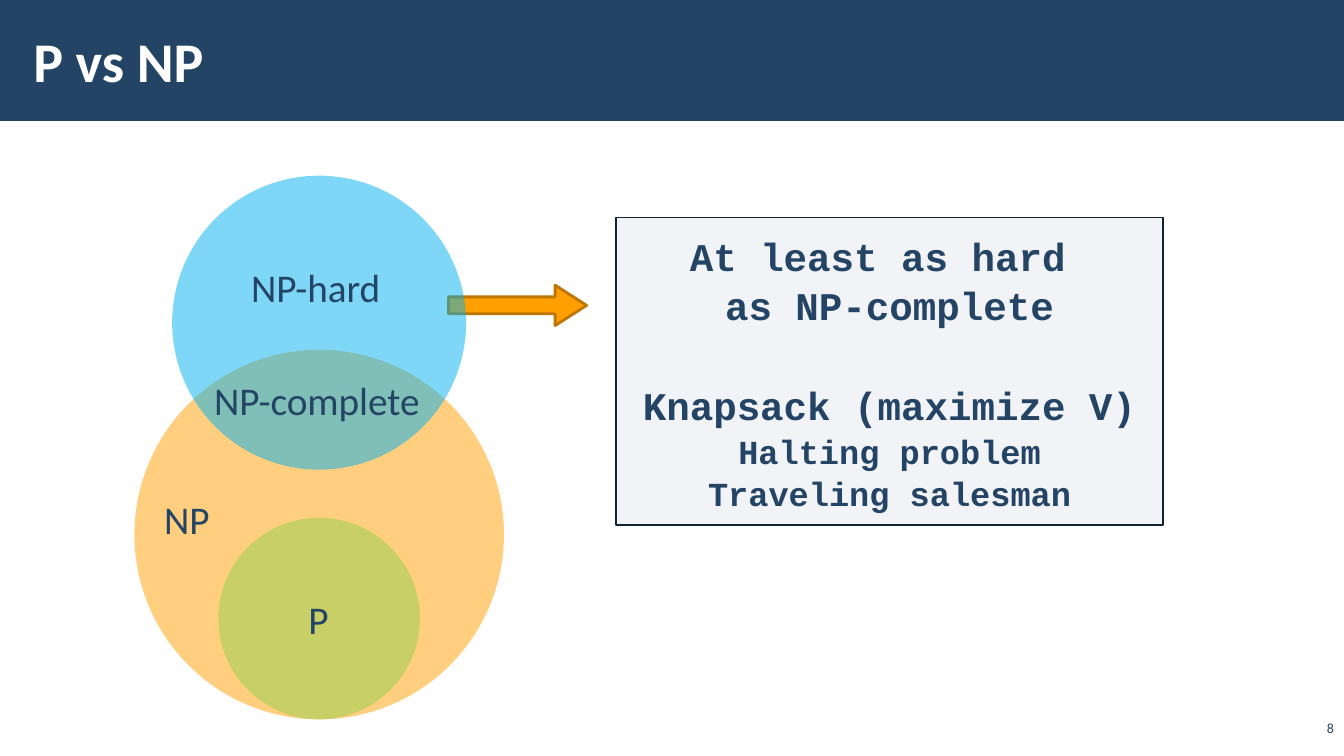
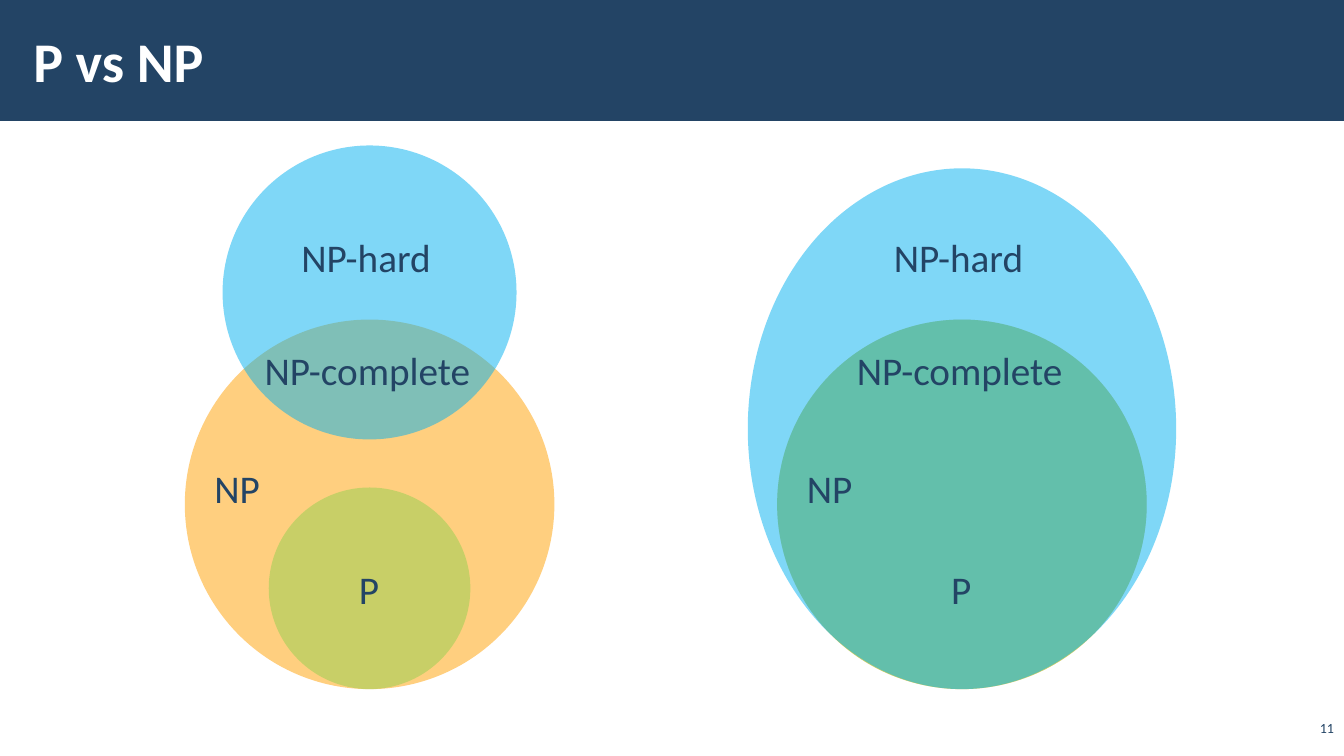
from dataclasses import dataclass

from lxml import etree
from pptx import Presentation
from pptx.dml.color import RGBColor
from pptx.enum.shapes import MSO_SHAPE
from pptx.enum.text import MSO_ANCHOR, MSO_AUTO_SIZE, PP_ALIGN
from pptx.oxml.ns import qn
from pptx.shapes.autoshape import Shape
from pptx.slide import Slide, SlideLayout
from pptx.text.text import Font, TextFrame
from pptx.util import Emu, Inches, Pt

OVAL, RECTANGLE, RIGHT_ARROW = MSO_SHAPE.OVAL, MSO_SHAPE.RECTANGLE, MSO_SHAPE.RIGHT_ARROW
LEFT, CENTER, RIGHT = PP_ALIGN.LEFT, PP_ALIGN.CENTER, PP_ALIGN.RIGHT
TOP, MIDDLE, BOTTOM = MSO_ANCHOR.TOP, MSO_ANCHOR.MIDDLE, MSO_ANCHOR.BOTTOM
FIT_SHAPE = MSO_AUTO_SIZE.SHAPE_TO_FIT_TEXT

CELL = Emu(304800)
COLUMNS, ROWS = 40, 22.5
TITLE_ONLY = 5


@dataclass(frozen=True)
class Theme:
    navy: str = "234465"
    white: str = "FFFFFF"
    orange: str = "FFA000"
    dark_orange: str = "BD7600"
    green: str = "92D050"
    blue: str = "00B0F0"
    grey: str = "ADB4C3"
    ink: str = "112233"
    body_font: str = "Calibri"
    code_font: str = "Courier New"
    title_size: int = 40
    label_size: int = 28
    example_size: int = 24
    number_size: int = 10


THEME = Theme()


@dataclass(frozen=True)
class Area:
    column: float
    row: float
    columns: float
    rows: float

    def emu(self) -> tuple[Emu, Emu, Emu, Emu]:
        lengths = (self.column, self.row, self.columns, self.rows)
        left, top, width, height = (Emu(round(CELL * length)) for length in lengths)
        return left, top, width, height


@dataclass(frozen=True)
class ProblemSet:
    color: str
    columns: float
    rows: float
    rise: float = 0


@dataclass(frozen=True)
class SetLabel:
    text: str
    columns: float
    rise: float
    shift: float = 0


@dataclass(frozen=True)
class Venn:
    center: float
    bottom: float
    sets: tuple[ProblemSet, ...]


@dataclass(frozen=True)
class Statement:
    text: str
    size: int
    gap: int = 0


BAND = Area(0, 0, COLUMNS, 3.6)
TITLE = Area(0.63, 0.33, 31.9, 2.9)
NUMBER = Area(38.58, 21.4, 1.42, 0.66)
ARROW = Area(13.35, 8.49, 4.11, 1.2)
DEFINITION = Area(18.33, 6.48, 16.29, 9.15)
LABEL_ROWS = 1.71

NP = ProblemSet(THEME.orange, 11, 11)
DISTINCT = (
    NP,
    ProblemSet(THEME.green, 6, 6),
    ProblemSet(THEME.blue, 8.75, 8.75, rise=7.43),
)
EQUAL = (
    NP,
    ProblemSet(THEME.green, 11, 11),
    ProblemSet(THEME.blue, 12.75, 15.5),
)
SET_LABELS = (
    SetLabel("P", 1.23, 3.83),
    SetLabel("NP", 1.98, 6.83, shift=-3.92),
    SetLabel("NP-complete", 6.84, 10.35),
    SetLabel("NP-hard", 4.65, 13.71),
)
STATEMENTS = (
    Statement("At least as hard \vas NP-complete", THEME.label_size),
    Statement("Knapsack (maximize V)", THEME.label_size, gap=36),
    Statement("Halting problem", THEME.example_size),
    Statement("Traveling salesman", THEME.example_size),
)


def style_font(font: Font, size: int, color: str = THEME.navy,
               name: str = THEME.body_font, bold: bool = False) -> None:
    font.name, font.size, font.bold = name, Pt(size), bold
    font.color.rgb = RGBColor.from_string(color)


def set_insets(frame: TextFrame, horizontal: float, vertical: float) -> None:
    frame.margin_left = frame.margin_right = Inches(horizontal)
    frame.margin_top = frame.margin_bottom = Inches(vertical)


def add_figure(slide: Slide, preset: MSO_SHAPE, area: Area, color: str,
               opacity: int = 100) -> Shape:
    figure = slide.shapes.add_shape(preset, *area.emu())
    figure.shadow.inherit = False
    figure.fill.solid()
    figure.fill.fore_color.rgb = RGBColor.from_string(color)
    if opacity < 100:
        fill_color = next(figure.element.spPr.iter(qn("a:srgbClr")))
        etree.SubElement(fill_color, qn("a:alpha"), val=str(opacity * 1000))
    figure.line.fill.background()
    return figure


def outline(figure: Shape, color: str, width: float) -> None:
    figure.line.color.rgb = RGBColor.from_string(color)
    figure.line.width = Pt(width)


def add_text(slide: Slide, text: str, area: Area, size: int,
             align: PP_ALIGN = LEFT, anchor: MSO_ANCHOR = TOP) -> TextFrame:
    frame = slide.shapes.add_textbox(*area.emu()).text_frame
    frame.text = text
    frame.vertical_anchor = anchor
    frame.paragraphs[0].alignment = align
    style_font(frame.paragraphs[0].font, size)
    return frame


def add_titled_slide(deck: Presentation, layout: SlideLayout, number: int) -> Slide:
    slide = deck.slides.add_slide(layout)
    title = slide.shapes.title
    title.left, title.top, title.width, title.height = TITLE.emu()
    frame = title.text_frame
    frame.text = "P vs NP"
    frame.vertical_anchor = MIDDLE
    set_insets(frame, 0.12, 0.04)
    frame.paragraphs[0].alignment = LEFT
    style_font(frame.paragraphs[0].font, THEME.title_size, THEME.white, bold=True)
    add_text(slide, str(number), NUMBER, THEME.number_size, RIGHT, BOTTOM)
    return slide


def move_band_to_layout(slide: Slide, layout: SlideLayout) -> None:
    band = add_figure(slide, RECTANGLE, BAND, THEME.navy)
    layout.shapes.element.insert(2, band.element)


def draw_venn(slide: Slide, venn: Venn) -> None:
    for problems in venn.sets:
        area = Area(venn.center - problems.columns / 2,
                    venn.bottom - problems.rise - problems.rows,
                    problems.columns, problems.rows)
        add_figure(slide, OVAL, area, problems.color, opacity=50)
    for label in SET_LABELS:
        area = Area(venn.center + label.shift - label.columns / 2,
                    venn.bottom - label.rise, label.columns, LABEL_ROWS)
        frame = add_text(slide, label.text, area, THEME.label_size)
        frame.word_wrap = False
        frame.auto_size = FIT_SHAPE


def draw_definition(slide: Slide) -> None:
    definition = add_figure(slide, RECTANGLE, DEFINITION, THEME.grey, opacity=15)
    outline(definition, THEME.ink, 1)
    frame = definition.text_frame
    frame.word_wrap = True
    frame.vertical_anchor = TOP
    set_insets(frame, 0.16, 0.12)
    for index, statement in enumerate(STATEMENTS):
        paragraph = frame.add_paragraph() if index else frame.paragraphs[0]
        paragraph.text = statement.text
        paragraph.alignment = CENTER
        paragraph.line_spacing = 1.05
        paragraph.space_before = Pt(statement.gap)
        style_font(paragraph.font, statement.size, name=THEME.code_font, bold=True)


def draw_arrow(slide: Slide) -> None:
    arrow = add_figure(slide, RIGHT_ARROW, ARROW, THEME.orange)
    arrow.adjustments[0], arrow.adjustments[1] = 0.42, 0.78
    outline(arrow, THEME.dark_orange, 2)


def main() -> None:
    deck = Presentation()
    deck.slide_width, deck.slide_height = Emu(CELL * COLUMNS), Emu(int(CELL * ROWS))
    layout = deck.slide_layouts[TITLE_ONLY]

    hard_problems = add_titled_slide(deck, layout, 8)
    move_band_to_layout(hard_problems, layout)
    draw_arrow(hard_problems)
    draw_venn(hard_problems, Venn(9.5, 21.41, DISTINCT))
    draw_definition(hard_problems)

    comparison = add_titled_slide(deck, layout, 11)
    draw_venn(comparison, Venn(11, 20.51, DISTINCT))
    draw_venn(comparison, Venn(28.63, 20.51, EQUAL))

    deck.save("out.pptx")


if __name__ == "__main__":
    main()
